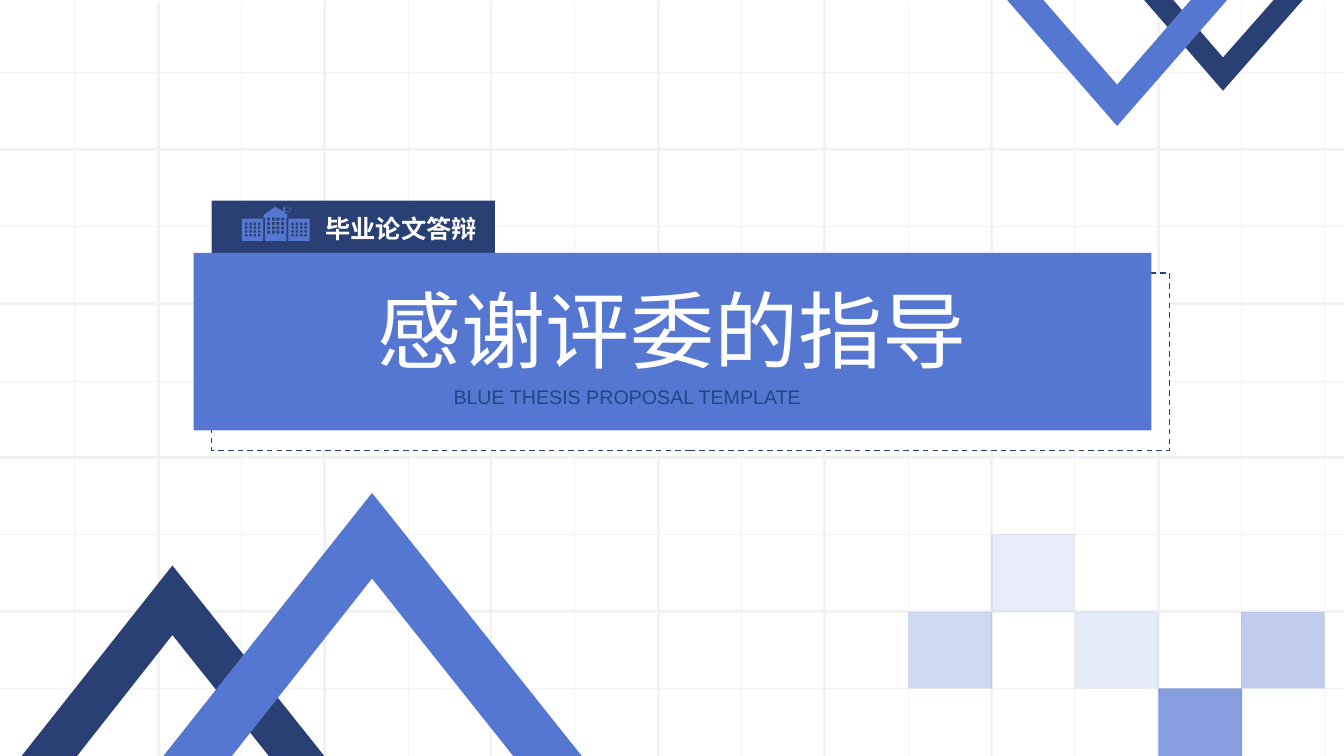
"""Builds the closing slide of a thesis defence deck."""
import pptx
import pptx.dml.color
import pptx.enum.dml
import pptx.enum.shapes
import pptx.enum.text
import pptx.oxml.ns
import pptx.oxml.xmlchemy
import pptx.util

PX_PER_INCH = 100
WIDTH, HEIGHT = 1333, 750
BLUE, NAVY, WHITE, GRID_GREY, DEEP_BLUE = "5577D1", "2A3F74", "FFFFFF", "F2F2F2", "1C4885"
GRID_LEFT, GRID_TOP = 74, 72
COLUMN_STEP, ROW_STEP = 82.67, 76.4
COLUMNS, ROWS = 16, 9
TILES = [(10, 7, 28), (11, 6, 13), (12, 7, 15), (13, 8, 71), (14, 7, 37)]
CHEVRONS = [
    (NAVY, [(1133, -2), (1162, -2), (1213, 57), (1265, -2), (1294, -2), (1213, 90)]),
    (BLUE, [(998, -1), (1034, -1), (1108, 84), (1182, -1), (1218, -1), (1108, 125)]),
    (NAVY, [(171, 561), (324, 753), (269, 753), (171, 630), (74, 753), (19, 753)]),
    (BLUE, [(369, 489), (577, 750), (509, 750), (369, 574), (230, 750), (162, 750)]),
]
HALL = [(282, 205), (282, 211), (285, 213), (285, 216), (284, 216), (284, 239), (263, 239),
        (263, 216), (261, 216), (262, 213), (273, 205), (281, 210), (281, 205)]


def px(length):
    """Turn a length in px into EMU."""
    return pptx.util.Emu(round(length * pptx.util.Inches(1) / PX_PER_INCH))


def paint(target, colour):
    """Give a fill or a font a solid colour from a hex string."""
    if hasattr(target, "solid"):
        target.solid()
        target = target.fore_color
    else:
        target = target.color
    target.rgb = pptx.dml.color.RGBColor.from_string(colour)


def column_x(column):
    """Return the x of a vertical grid line."""
    return round(GRID_LEFT + column * COLUMN_STEP)


def row_y(row):
    """Return the y of a horizontal grid line."""
    return round(GRID_TOP + row * ROW_STEP)


def add_grid_line(page, start, end, points):
    """Draw one straight grid line."""
    line = page.shapes.add_connector(
        pptx.enum.shapes.MSO_CONNECTOR.STRAIGHT, *map(px, start + end))
    paint(line.line.fill, GRID_GREY)
    line.line.width = pptx.util.Pt(points)
    properties = line._element.spPr
    properties.append(properties.makeelement(pptx.oxml.ns.qn("a:effectLst"), {}))


def add_grid(page):
    """Draw the grid of alternating thin and thick lines."""
    for row in range(ROWS):
        add_grid_line(page, (0, row_y(row)), (WIDTH, row_y(row)), 2 if row % 2 else 0.5)
    for column in range(COLUMNS):
        thick = column % 2 and column < COLUMNS - 1
        add_grid_line(page, (column_x(column), 1), (column_x(column), HEIGHT),
                      2 if thick else 0.5)


def add_block(page, left, top, width, height, colour, opacity=100):
    """Draw a plain rectangle, see-through where opacity is below 100."""
    block = page.shapes.add_shape(
        pptx.enum.shapes.MSO_SHAPE.RECTANGLE, *map(px, (left, top, width, height)))
    block.shadow.inherit = False
    block.line.fill.background()
    paint(block.fill, colour)
    if opacity < 100:
        tint = block._element.spPr.find(".//" + pptx.oxml.ns.qn("a:srgbClr"))
        alpha = tint.makeelement(pptx.oxml.ns.qn("a:alpha"), {"val": str(opacity * 1000)})
        tint.append(alpha)
    return block


def add_outline(page, contours, colour):
    """Draw one filled freeform from closed contours."""
    contours = [[(px(x), px(y)) for x, y in contour] for contour in contours]
    builder = page.shapes.build_freeform(*contours[0][0])
    builder.add_line_segments(contours[0][1:])
    for contour in contours[1:]:
        builder.move_to(*contour[0])
        builder.add_line_segments(contour[1:])
    outline = builder.convert_to_shape()
    outline.shadow.inherit = False
    outline.line.fill.background()
    paint(outline.fill, colour)


def corners(left, top, width, height):
    """Return the corner points of a rectangle."""
    right, bottom = left + width, top + height
    return [(left, top), (right, top), (right, bottom), (left, bottom)]


def windows(left, top, step_x, step_y, size):
    """Return a four by four set of window contours."""
    return [corners(left + column * step_x, top + row * step_y, size, size)
            for row in range(4) for column in range(4)]


def add_school(page):
    """Draw the school building icon with its flag."""
    contours = [HALL, corners(240, 217, 21, 22), corners(286, 217, 21, 22)]
    contours += windows(265, 216, 4.6, 4.3, 3)
    for left in (243, 289):
        contours += windows(left, 221, 4.3, 3.7, 2.5)
    contours += [corners(282, 206, 6, 4), corners(282.5, 206.5, 5, 3)]
    add_outline(page, contours, BLUE)


def add_text(page, frame, text, font, points, colour, align, bold=False):
    """Place one line of text, centred vertically in its box."""
    box = page.shapes.add_textbox(*map(px, frame))
    box.text_frame.word_wrap = True
    box.text_frame.vertical_anchor = pptx.enum.text.MSO_ANCHOR.MIDDLE
    box.text_frame.text = text
    para = box.text_frame.paragraphs[0]
    para.alignment = align
    span = para.runs[0]
    span.font.name = font
    span.font.size = pptx.util.Pt(points)
    span.font.bold = bold
    paint(span.font, colour)
    properties = span.font._element
    latin = properties.find(pptx.oxml.ns.qn("a:latin"))
    latin.addnext(properties.makeelement(pptx.oxml.ns.qn("a:ea"), {"typeface": font}))


def add_banner(page):
    """Draw the badge, the dashed frame and the title panel."""
    add_block(page, 210, 199, 281, 72, NAVY)
    frame = add_block(page, 210, 271, 950, 176, WHITE)
    paint(frame.line.fill, NAVY)
    frame.line.width = pptx.util.Pt(1)
    frame.line.dash_style = pptx.enum.dml.MSO_LINE.DASH
    add_block(page, 192, 251, 950, 176, BLUE)


def main():
    """Build the slide and save it."""
    deck = pptx.Presentation()
    deck.slide_width, deck.slide_height = px(WIDTH), px(HEIGHT)
    page = deck.slides.add_slide(deck.slide_layouts[6])
    align = pptx.enum.text.PP_ALIGN
    add_grid(page)
    for column, row, opacity in TILES:
        height = min(row_y(row + 1), HEIGHT) - row_y(row)
        add_block(page, column_x(column), row_y(row), 83, height, BLUE, opacity)
    add_banner(page)
    add_text(page, (258, 271, 817, 111), "感谢评委的指导",
             "Noto Sans CJK JP", 60, WHITE, align.CENTER)
    add_text(page, (440, 377, 453, 34), "BLUE THESIS PROPOSAL TEMPLATE",
             "Arial", 14, DEEP_BLUE, align.JUSTIFY)
    for colour, points in CHEVRONS:
        add_outline(page, [points], colour)
    add_school(page)
    add_text(page, (313, 207, 413, 40), "毕业论文答辩",
             "Noto Sans CJK SC", 18, WHITE, align.LEFT, bold=True)
    deck.save("out.pptx")


if __name__ == "__main__":
    main()
